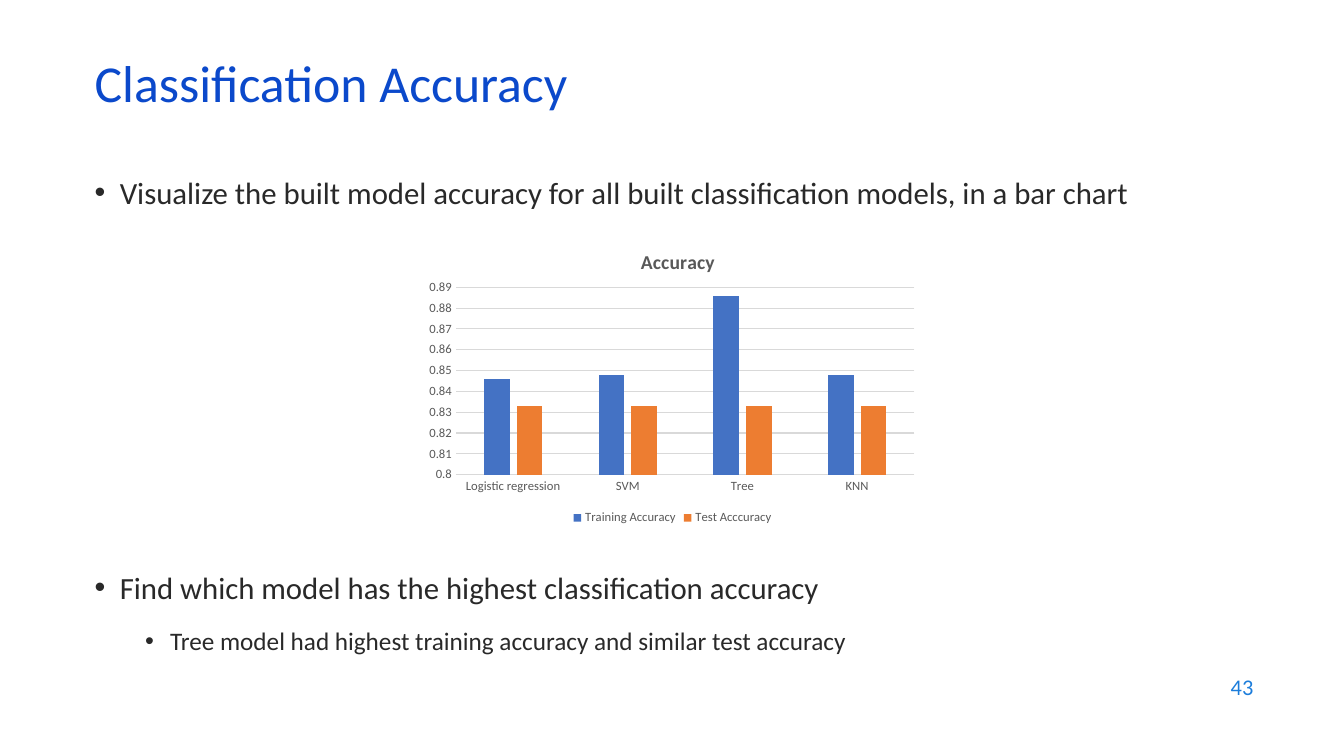
from lxml import etree
from pptx import Presentation
from pptx.chart.data import CategoryChartData
from pptx.dml.color import RGBColor
from pptx.enum.chart import XL_CHART_TYPE as ChartType, XL_LEGEND_POSITION as LegendPosition
from pptx.enum.chart import XL_TICK_MARK as TickMark
from pptx.enum.text import MSO_ANCHOR as Anchor, PP_ALIGN as Align
from pptx.oxml import parse_xml
from pptx.oxml.ns import nsdecls, qn
from pptx.util import Inches, Pt

FONT = "Calibri"
COLORS = {
    "title": "0B49CB", "body": "292929", "number": "1C7DDB",
    "label": "595959", "grid": "D9D9D9", "training": "4472C4", "test": "ED7D31",
}
MODELS = ["Logistic regression", "SVM", "Tree", "KNN"]
SERIES = [
    ("Training Accuracy", "training", (0.846, 0.848, 0.886, 0.848)),
    ("Test Acccuracy", "test", (0.833, 0.833, 0.833, 0.833)),
]


def color(name):
    return RGBColor.from_string(COLORS[name])


def style_font(font, size, name):
    font.name = FONT
    font.size = Pt(size)
    font.color.rgb = color(name)


def add_frame(page, box, anchor=Anchor.TOP):
    frame = page.shapes.add_textbox(*map(Inches, box)).text_frame
    frame.word_wrap = True
    frame.vertical_anchor = anchor
    return frame


def write(para, text, size=22, tone="body", align=Align.LEFT, spacing=None, before=0, indent=None):
    """Fill one paragraph; an indent in inches makes it a bullet."""
    para.alignment = align
    para.space_before = Pt(before)
    if spacing:
        para.line_spacing = spacing
    if indent is not None:
        props = para._p.get_or_add_pPr()
        props.set("marL", str(Inches(indent)))
        props.set("indent", str(-Inches(0.25)))
        etree.SubElement(props, qn("a:buFont")).set("typeface", "Arial")
        etree.SubElement(props, qn("a:buChar")).set("char", "•")
    span = para.add_run()
    span.text = text
    style_font(span.font, size, tone)


def add_title(page, box):
    frame = add_frame(page, box, Anchor.MIDDLE)
    write(frame.paragraphs[0], "Classification Accuracy", size=37, tone="title", spacing=0.7)


def add_page_number(page, box):
    frame = add_frame(page, box, Anchor.MIDDLE)
    write(frame.paragraphs[0], "43", size=16, tone="number", align=Align.RIGHT)


def add_bullets(page, box):
    """Place the bullets, leaving room for the chart after the first one."""
    frame = add_frame(page, box)
    write(frame.paragraphs[0], indent=0.25,
          text="Visualize the built model accuracy for all built classification models, in a bar chart")
    write(frame.add_paragraph(), "Find which model has the highest classification accuracy",
          indent=0.25, before=256)
    finding = frame.add_paragraph()
    finding.level = 1
    write(finding, "Tree model had highest training accuracy and similar test accuracy",
          size=18, indent=0.75, before=14)


def set_layout(element, inner=False, **fractions):
    """Fix a chart part at fractions of the chart area."""
    for old in element.findall(qn("c:layout")):
        element.remove(old)
    parts = ['<c:layoutTarget val="inner"/>'] if inner else []
    parts += [f'<c:{side}Mode val="edge"/>' for side in "xy"]
    parts += [f'<c:{side} val="{value}"/>' for side, value in fractions.items()]
    layout = parse_xml(f'<c:layout {nsdecls("c")}><c:manualLayout>{"".join(parts)}'
                       '</c:manualLayout></c:layout>')
    text = element.find(qn("c:tx"))
    if text is None:
        element.insert(0, layout)
    else:
        text.addnext(layout)


def style_axes(chart):
    for axis in (chart.category_axis, chart.value_axis):
        axis.major_tick_mark = axis.minor_tick_mark = TickMark.NONE
        style_font(axis.tick_labels.font, 9, "label")
    lines = chart.value_axis.major_gridlines.format.line
    for line in (chart.category_axis.format.line, lines):
        line.color.rgb = color("grid")
        line.width = Pt(0.75)
    chart.value_axis.format.line.fill.background()
    chart.value_axis.minimum_scale = 0.8
    chart.value_axis.maximum_scale = 0.89
    chart.value_axis.major_unit = 0.01


def add_accuracy_chart(page, box):
    data = CategoryChartData()
    data.categories = MODELS
    for name, _, values in SERIES:
        data.add_series(name, values)
    chart = page.shapes.add_chart(ChartType.COLUMN_CLUSTERED, *map(Inches, box), data).chart
    chart.font.name = FONT
    chart.font.size = Pt(10)
    chart.has_title = True
    write(chart.chart_title.text_frame.paragraphs[0], "Accuracy", size=14,
          tone="label", align=Align.CENTER)
    chart.chart_title.include_in_layout = False
    chart.has_legend = True
    chart.legend.position = LegendPosition.BOTTOM
    chart.legend.include_in_layout = False
    style_font(chart.legend.font, 9, "label")
    style_axes(chart)
    plot = chart.plots[0]
    plot.vary_by_categories = False
    plot.gap_width = 219
    plot.overlap = -27
    for series, (_, tone, _) in zip(plot.series, SERIES):
        series.format.fill.solid()
        series.format.fill.fore_color.rgb = color(tone)
        series.invert_if_negative = False
    area = chart.element.find(qn("c:chart"))
    set_layout(area.find(qn("c:title")), x=0.43, y=0.06)
    set_layout(area.find(qn("c:plotArea")), inner=True, x=0.07, y=0.2, w=0.91, h=0.62)


def main():
    deck = Presentation()
    deck.slide_width = Inches(13.33)
    deck.slide_height = Inches(7.5)
    page = deck.slides.add_slide(deck.slide_layouts[6])
    add_page_number(page, (9.53, 6.59, 3, 0.44))
    add_bullets(page, (0.84, 1.67, 11.14, 5.07))
    add_title(page, (0.84, 0.59, 11.5, 0.6))
    add_accuracy_chart(page, (4.17, 2.25, 5, 3))
    deck.save("out.pptx")


if __name__ == "__main__":
    main()
